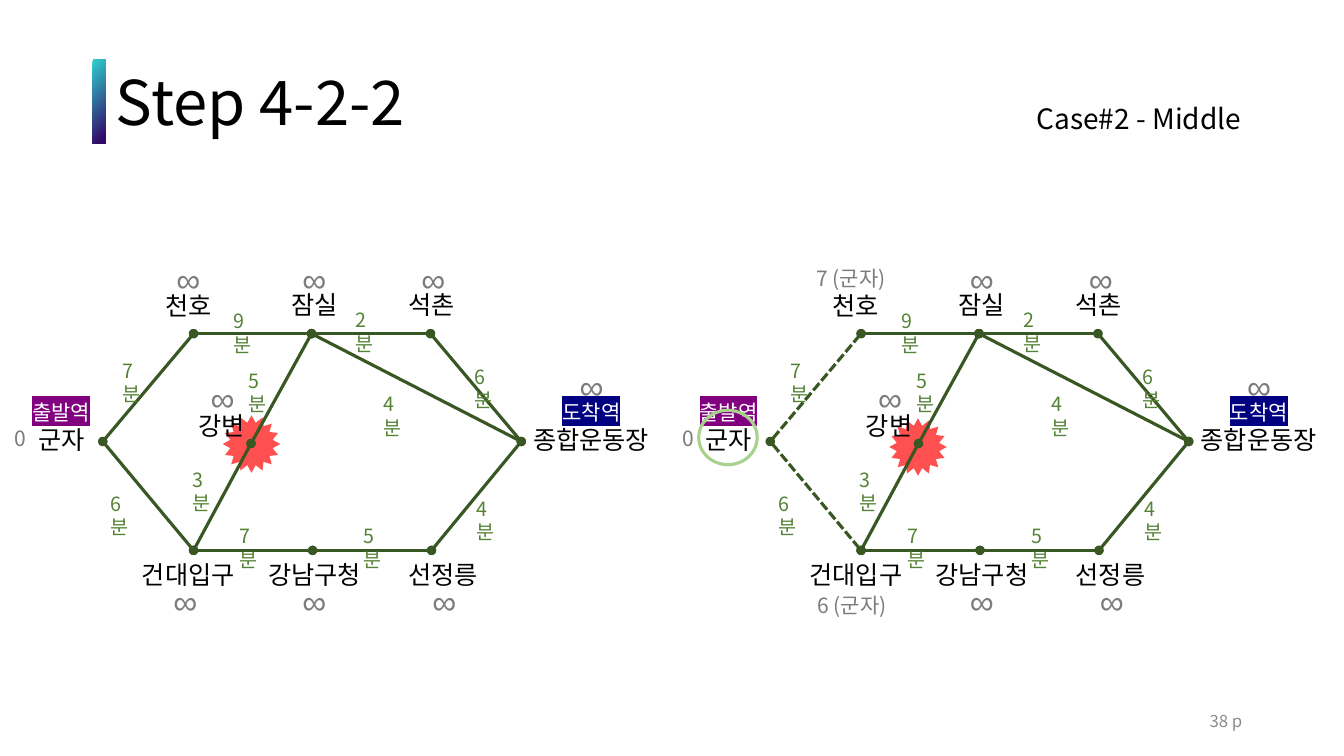
"""Build the Step 4-2-2 slide: a subway graph before and after its first visit."""
from dataclasses import dataclass

from lxml.etree import SubElement
from pptx import Presentation
from pptx.dml.color import RGBColor
from pptx.enum.dml import MSO_LINE_DASH_STYLE as Dash
from pptx.enum.shapes import MSO_CONNECTOR as Connector, MSO_SHAPE as Preset
from pptx.enum.text import MSO_ANCHOR as Anchor, PP_ALIGN as Align
from pptx.oxml.ns import qn
from pptx.util import Inches, Pt

KOREAN = "Noto Sans CJK KR"
COLORS = {
    "black": "000000", "white": "FFFFFF", "teal": "30CFD0", "violet": "330867",
    "edge": "385723", "minutes": "548235", "distance": "7C7C7C", "page": "8C8C8C",
    "start": "800080", "goal": "000080", "burst": "FF5050", "visit": "A9D18E",
}


@dataclass(frozen=True)
class Station:
    name: str
    dot: tuple[float, float]
    label: tuple[float, float]
    width: float
    distance: tuple[float, float]


@dataclass(frozen=True)
class Edge:
    ends: tuple[str, str]
    minutes: int
    label: tuple[float, float]


@dataclass(frozen=True)
class Visit:
    target: str
    text: str
    at: tuple[float, float]


@dataclass(frozen=True)
class Graph:
    left: float
    burst: tuple[float, float]
    visits: tuple[Visit, ...] = ()


STATIONS = [
    Station("군자", (1.02, 4.38), (0.28, 4.16), 0.66, (0.05, 4.17)),
    Station("천호", (1.92, 3.31), (1.54, 2.83), 0.66, (1.65, 2.52)),
    Station("잠실", (3.09, 3.31), (2.79, 2.82), 0.66, (2.9, 2.52)),
    Station("석촌", (4.27, 3.31), (3.95, 2.82), 0.66, (4.08, 2.52)),
    Station("강변", (2.49, 4.4), (1.87, 4.02), 0.66, (1.99, 3.7)),
    Station("건대입구", (1.92, 5.46), (1.31, 5.5), 1.12, (1.62, 5.71)),
    Station("강남구청", (3.1, 5.46), (2.56, 5.5), 1.12, (2.9, 5.71)),
    Station("선정릉", (4.28, 5.46), (3.95, 5.5), 0.89, (4.19, 5.71)),
    Station("종합운동장", (5.17, 4.38), (5.19, 4.16), 1.35, (5.65, 3.58)),
]
EDGES = [
    Edge(("군자", "천호"), 7, (1.12, 3.51)),
    Edge(("군자", "건대입구"), 6, (1, 4.83)),
    Edge(("천호", "잠실"), 9, (2.22, 3.02)),
    Edge(("잠실", "석촌"), 2, (3.43, 3.01)),
    Edge(("석촌", "종합운동장"), 6, (4.61, 3.57)),
    Edge(("잠실", "종합운동장"), 4, (3.71, 3.84)),
    Edge(("강변", "잠실"), 5, (2.37, 3.61)),
    Edge(("건대입구", "강변"), 3, (1.81, 4.59)),
    Edge(("건대입구", "강남구청"), 7, (2.28, 5.15)),
    Edge(("강남구청", "선정릉"), 5, (3.51, 5.15)),
    Edge(("선정릉", "종합운동장"), 4, (4.63, 4.88)),
]
GRAPHS = [
    Graph(0, (2.21, 4.12)),
    Graph(6.62, (2.2, 4.15), (Visit("천호", "7 (군자)", (1.38, 2.58)),
                              Visit("건대입구", "6 (군자)", (1.39, 5.83)))),
]


def rgb(color: str) -> RGBColor:
    """Return a named colour."""
    return RGBColor.from_string(COLORS[color])


def place(shape, left: float, top: float, width: float, height: float) -> None:
    """Move and size a shape in inches."""
    shape.left, shape.top = Inches(left), Inches(top)
    shape.width, shape.height = Inches(width), Inches(height)


def write(frame, text: str, *, size: float, color: str = "black", font: str = KOREAN,
          wrap: bool = True, align: Align = Align.LEFT, anchor: Anchor = Anchor.TOP,
          spacing: float = 1.0, highlight: str | None = None) -> None:
    """Write one formatted line into a text frame."""
    frame.word_wrap, frame.vertical_anchor = wrap, anchor
    paragraph = frame.paragraphs[0]
    paragraph.alignment, paragraph.line_spacing = align, spacing
    paragraph.space_before = Pt(0)
    run = paragraph.add_run()
    run.text = text
    run.font.size, run.font.color.rgb = Pt(size), rgb(color)
    properties = run.font._element
    if highlight:
        mark = SubElement(properties, qn("a:highlight"))
        SubElement(mark, qn("a:srgbClr"), val=COLORS[highlight])
    run.font.name = font
    SubElement(properties, qn("a:ea"), typeface=font)


def add_label(slide, text: str, left: float, top: float, width: float,
              height: float, **style) -> None:
    """Add a text box with one formatted line."""
    box = slide.shapes.add_textbox(Inches(left), Inches(top), Inches(width), Inches(height))
    write(box.text_frame, text, **style)


def add_preset(slide, preset: Preset, left: float, top: float, width: float, height: float):
    """Add a preset shape without a shadow."""
    shape = slide.shapes.add_shape(preset, Inches(left), Inches(top),
                                   Inches(width), Inches(height))
    shape.shadow.inherit = False
    return shape


def add_edge(slide, start: tuple[float, float], end: tuple[float, float],
             left: float, dashed: bool) -> None:
    """Draw a track with round ends between two stations."""
    track = slide.shapes.add_connector(
        Connector.STRAIGHT, Inches(left + start[0]), Inches(start[1]),
        Inches(left + end[0]), Inches(end[1]))
    track.line.color.rgb, track.line.width = rgb("edge"), Pt(2.25)
    if dashed:
        track.line.dash_style = Dash.SQUARE_DOT
    for tag in ("a:headEnd", "a:tailEnd"):
        SubElement(track.line._get_or_add_ln(), qn(tag), type="oval")
    SubElement(track._element.spPr, qn("a:effectLst"))


def add_graph(slide, graph: Graph) -> None:
    """Draw the subway graph with its distances."""
    left = graph.left
    dots = {station.name: station.dot for station in STATIONS}
    visits = {visit.target: visit for visit in graph.visits}
    burst = add_preset(slide, Preset.STAR_16_POINT, left + graph.burst[0],
                       graph.burst[1], 0.57, 0.57)
    burst.fill.solid()
    burst.fill.fore_color.rgb = rgb("burst")
    burst.line.fill.background()
    for edge in EDGES:
        start, end = edge.ends
        add_edge(slide, dots[start], dots[end], left, start == "군자" and end in visits)
    for station in STATIONS:
        x, y = station.label
        add_label(slide, station.name, left + x, y, station.width, 0.46, size=18, wrap=False)
    for role, x, mark in (("출발역", 0.22, "start"), ("도착역", 5.48, "goal")):
        add_label(slide, role, left + x, 3.91, 0.85, 0.4, size=15, color="white",
                  highlight=mark)
    for edge in EDGES:
        x, y = edge.label
        add_label(slide, f"{edge.minutes}분", left + x, y, 0.45, 0.38,
                  size=14, color="minutes")
    for station in STATIONS:
        x, y = station.distance
        if station.name in visits:
            visit = visits[station.name]
            add_label(slide, visit.text, left + visit.at[0], visit.at[1], 1.27, 0.35,
                      size=15, color="distance")
        elif station.name == "군자":
            add_label(slide, "0", left + x, y, 0.75, 0.46, size=15, color="distance")
        else:
            add_label(slide, "∞", left + x, y, 0.75, 0.64, size=24, color="distance",
                      font="Arial")
    if visits:
        ring = add_preset(slide, Preset.OVAL, left + 0.31, 4.07, 0.58, 0.54)
        ring.fill.background()
        ring.line.color.rgb, ring.line.width = rgb("visit"), Pt(2.25)


def main() -> None:
    """Build and save the slide."""
    deck = Presentation()
    deck.slide_width, deck.slide_height = Inches(13.33), Inches(7.5)
    slide = deck.slides.add_slide(deck.slide_layouts[1])
    accent = add_preset(slide, Preset.RECTANGLE, 0.92, 0.59, 0.13, 0.83)
    accent.fill.gradient()
    accent.fill.gradient_angle = 315
    for stop, color, position in zip(accent.fill.gradient_stops, ("teal", "violet"), (0, 0.94)):
        stop.color.rgb, stop.position = rgb(color), position
    accent.line.fill.background()
    title, case = slide.placeholders
    place(title, 1.05, 0.51, 4.34, 1.08)
    write(title.text_frame, "Step 4-2-2", size=44, anchor=Anchor.MIDDLE, spacing=0.9)
    place(case, 9.71, 0.99, 2.7, 0.46)
    bullet = case.text_frame.paragraphs[0]._p.get_or_add_pPr()
    bullet.set("marL", "0")
    bullet.set("indent", "0")
    SubElement(bullet, qn("a:buNone"))
    write(case.text_frame, "Case#2 - Middle", size=20, align=Align.RIGHT, spacing=0.9)
    for graph in GRAPHS:
        add_graph(slide, graph)
    add_label(slide, "38 p", 9.42, 6.95, 3, 0.4, size=12, color="page",
              align=Align.RIGHT, anchor=Anchor.MIDDLE)
    deck.save("out.pptx")


if __name__ == "__main__":
    main()
